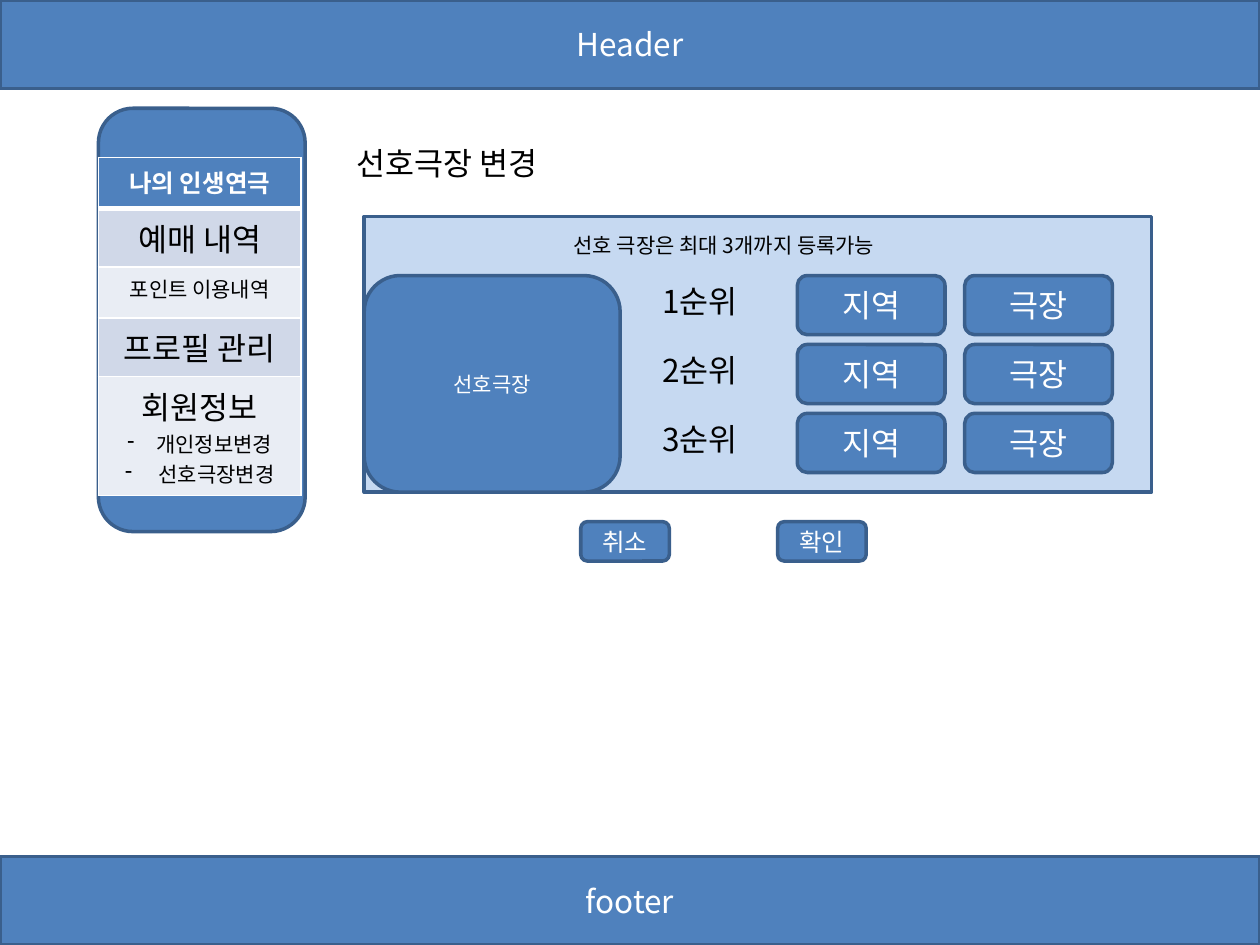
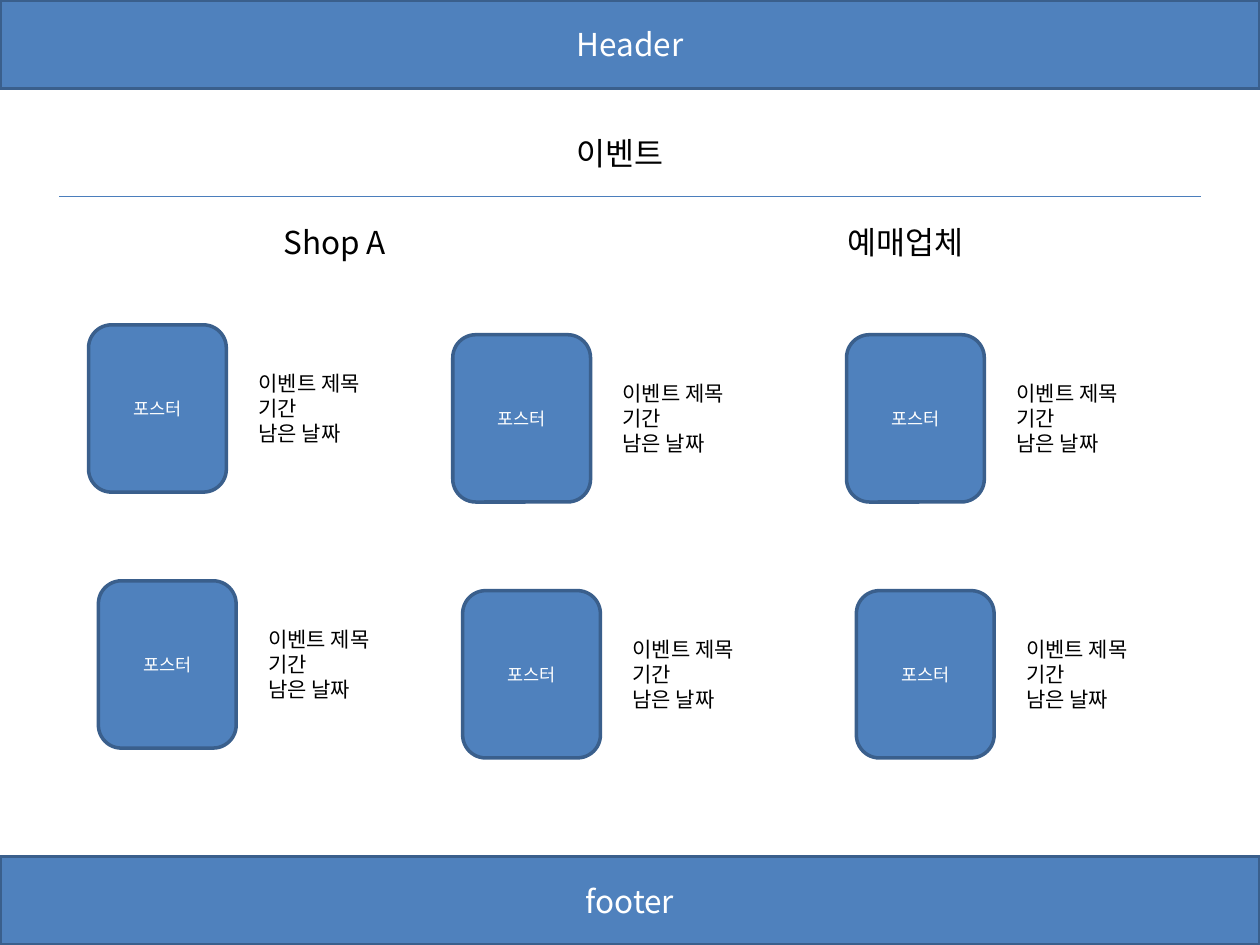
from dataclasses import dataclass

from lxml import etree
from pptx import Presentation
from pptx import util as u
from pptx.dml.color import RGBColor
from pptx.enum import shapes, text
from pptx.oxml import ns

COLUMNS, ROWS = 128, 96
SLIDE_WIDTH, SLIDE_HEIGHT = u.Inches(10), u.Inches(7.5)


@dataclass(frozen=True)
class Theme:
    """Colours, font and type sizes of both slides."""
    font: str = "Noto Sans CJK KR"
    accent: str = "4F81BD"
    outline: str = "3A5F8C"
    rule: str = "4B7EBC"
    panel: str = "C6D9F1"
    band_dark: str = "D0D8E8"
    band_light: str = "E9EDF4"
    white: str = "FFFFFF"
    black: str = "000000"
    large: int = 18
    medium: int = 14
    small: int = 12
    tiny: int = 10


THEME = Theme()
RECTANGLE = shapes.MSO_SHAPE.RECTANGLE
ROUNDED = shapes.MSO_SHAPE.ROUNDED_RECTANGLE
LEFT, CENTER = text.PP_ALIGN.LEFT, text.PP_ALIGN.CENTER


def across(columns):
    """Turn grid columns into a length."""
    return round(SLIDE_WIDTH * columns / COLUMNS)


def down(rows):
    """Turn grid rows into a length."""
    return round(SLIDE_HEIGHT * rows / ROWS)


def area(left, top, width, height):
    """Turn a grid area into left, top, width and height."""
    return across(left), down(top), across(width), down(height)


def color(value):
    """Make a colour from its hex value."""
    return RGBColor.from_string(value)


def format_paragraph(paragraph, size, ink, align, bold=False):
    """Align a paragraph and style its runs."""
    paragraph.alignment = align
    for run in paragraph.runs:
        run.font.size = u.Pt(size)
        run.font.bold = bold
        run.font.color.rgb = color(ink)
        run.font.name = THEME.font
        east_asian = etree.SubElement(run.font._element, ns.qn("a:ea"))
        east_asian.set("typeface", THEME.font)


def write(text_frame, content, size, ink, align, bold=False):
    """Fill a text frame, one paragraph a line."""
    text_frame.text = content
    for paragraph in text_frame.paragraphs:
        format_paragraph(paragraph, size, ink, align, bold)


def add_box(slide, place, content="", size=THEME.large, kind=ROUNDED, fill=THEME.accent):
    """Add an outlined box with centred white text."""
    shape = slide.shapes.add_shape(kind, *area(*place))
    shape.shadow.inherit = False
    shape.fill.solid()
    shape.fill.fore_color.rgb = color(fill)
    shape.line.color.rgb = color(THEME.outline)
    shape.line.width = u.Pt(2)
    if content:
        shape.text_frame.vertical_anchor = text.MSO_ANCHOR.MIDDLE
        write(shape.text_frame, content, size, THEME.white, CENTER)


def add_label(slide, place, content, size=THEME.large, align=LEFT):
    """Add a black text box that grows with its text."""
    text_frame = slide.shapes.add_textbox(*area(*place)).text_frame
    text_frame.word_wrap = True
    text_frame.auto_size = text.MSO_AUTO_SIZE.SHAPE_TO_FIT_TEXT
    write(text_frame, content, size, THEME.black, align)


def add_rule(slide, left, right, row):
    """Add a thin horizontal line."""
    line = slide.shapes.add_connector(
        shapes.MSO_CONNECTOR.STRAIGHT, across(left), down(row), across(right), down(row))
    line.line.color.rgb = color(THEME.rule)
    line.line.width = u.Pt(0.75)
    etree.SubElement(line._element.spPr, ns.qn("a:effectLst"))


def add_borders(cell, bottom):
    """Draw white cell borders, the lower one of a given width."""
    properties = cell._tc.get_or_add_tcPr()
    for side, width in (("L", 1), ("R", 1), ("T", 1), ("B", bottom)):
        border = etree.SubElement(properties, ns.qn("a:ln" + side), w=str(u.Pt(width)))
        fill = etree.SubElement(border, ns.qn("a:solidFill"))
        etree.SubElement(fill, ns.qn("a:srgbClr"), val=THEME.white)


def add_dash(paragraph):
    """Give a paragraph a hanging dash bullet."""
    properties = paragraph._p.get_or_add_pPr()
    indent = u.Inches(0.23)
    properties.set("marL", str(indent))
    properties.set("indent", str(-indent))
    etree.SubElement(properties, ns.qn("a:buChar"), char="-")


def add_menu(slide):
    """Add the side menu: a rounded panel with a table on it."""
    add_box(slide, (10, 11, 21, 43))
    entries = [
        ("나의 인생연극", THEME.medium),
        ("예매 내역", THEME.large),
        ("포인트 이용내역", THEME.small),
        ("프로필 관리", THEME.large),
        ("회원정보\n개인정보변경\n 선호극장변경", THEME.large),
    ]
    row_height = 5.2
    table = slide.shapes.add_table(
        len(entries), 1, *area(10, 16, 20.6, row_height * (len(entries) + 1))).table
    table.first_row = table.horz_banding = False
    for index, (content, size) in enumerate(entries):
        heading, last = index == 0, index == len(entries) - 1
        table.rows[index].height = down(row_height * (2 if last else 1))
        cell = table.cell(index, 0)
        add_borders(cell, 3 if heading else 1)
        cell.fill.solid()
        band = THEME.band_dark if index % 2 else THEME.band_light
        cell.fill.fore_color.rgb = color(THEME.accent if heading else band)
        ink = THEME.white if heading else THEME.black
        write(cell.text_frame, content, size, ink, CENTER, heading)
        for paragraph in cell.text_frame.paragraphs[1:]:
            for run in paragraph.runs:
                run.font.size = u.Pt(THEME.small)
            add_dash(paragraph)


def add_event(slide, left, top):
    """Add a poster with the event details beside it."""
    add_box(slide, (left, top, 14, 17), "포스터", THEME.tiny)
    add_label(slide, (left + 16, top + 4, 16, 9), "이벤트 제목\n기간\n남은 날짜", THEME.small)


def add_page(presentation):
    """Add a blank slide with header and footer bands."""
    slide = presentation.slides.add_slide(presentation.slide_layouts[6])
    for top, content in ((0, "Header"), (ROWS - 9, "footer")):
        add_box(slide, (0, top, COLUMNS, 9), content, kind=RECTANGLE)
    return slide


def build_theatre_page(presentation):
    """Build the page for changing preferred theatres."""
    slide = add_page(presentation)
    add_menu(slide)
    add_label(slide, (35, 14, 34, 5), "선호극장 변경")
    add_box(slide, (37, 22, 80, 28), kind=RECTANGLE, fill=THEME.panel)
    add_label(slide, (57, 23, 37, 4), "선호 극장은 최대 3개까지 등록가능", THEME.small)
    add_box(slide, (37, 28, 26, 22), "선호극장", THEME.small)
    for left, content in ((79, "확인"), (59, "취소")):
        add_box(slide, (left, 53, 9, 4), content, THEME.medium)
    for rank in range(3):
        top = 28 + 7 * rank
        add_label(slide, (66, top, 11, 5), f"{rank + 1}순위")
        for left, content in ((81, "지역"), (98, "극장")):
            add_box(slide, (left, top, 15, 6), content)


def build_event_page(presentation):
    """Build the page that lists events of two ticket shops."""
    slide = add_page(presentation)
    add_label(slide, (46, 13, 34, 5), "이벤트", align=CENTER)
    add_rule(slide, 6, COLUMNS - 6, 20)
    for left, shop in ((17, "Shop A"), (75, "예매업체")):
        add_label(slide, (left, 22, 34, 5), shop, align=CENTER)
    for row in range(2):
        for left, top in ((9, 33), (46, 34), (86, 34)):
            add_event(slide, left + row, top + 26 * row)


def main():
    """Build and save the presentation."""
    presentation = Presentation()
    presentation.slide_width, presentation.slide_height = SLIDE_WIDTH, SLIDE_HEIGHT
    build_theatre_page(presentation)
    build_event_page(presentation)
    presentation.save("out.pptx")


main()
